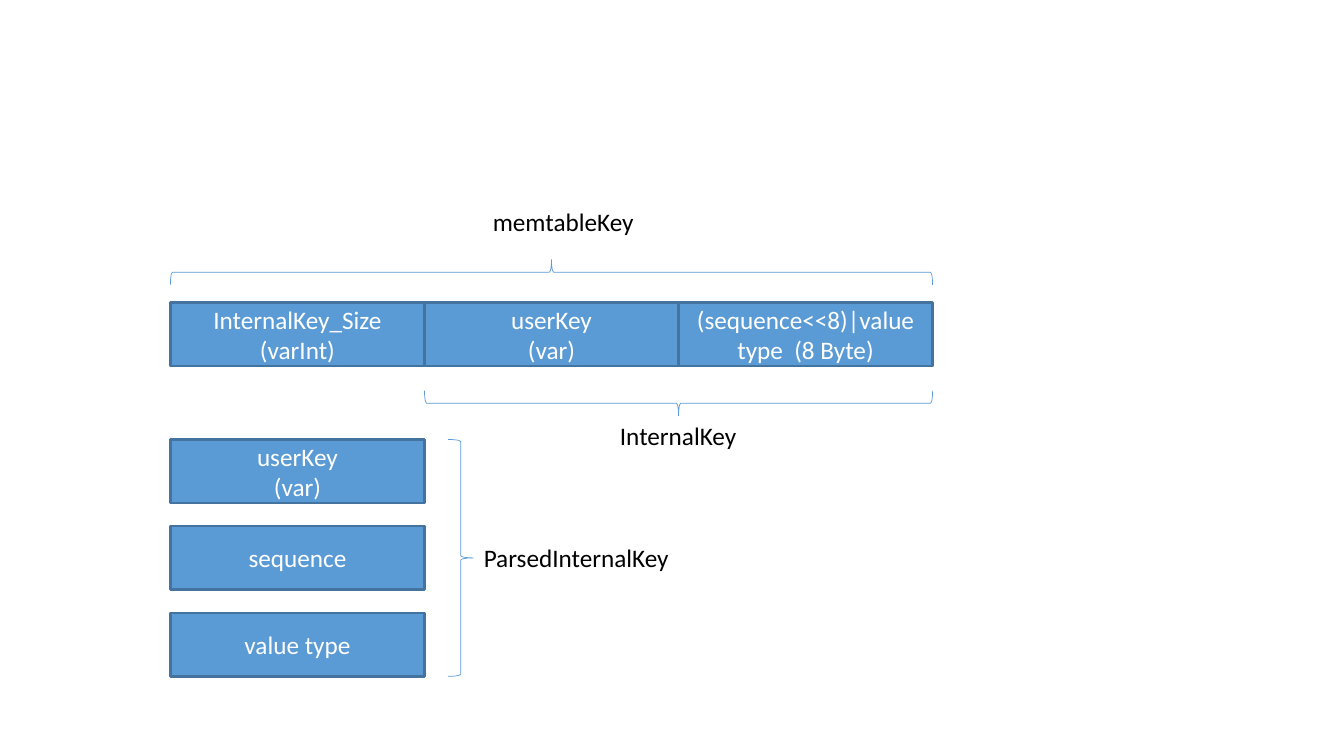
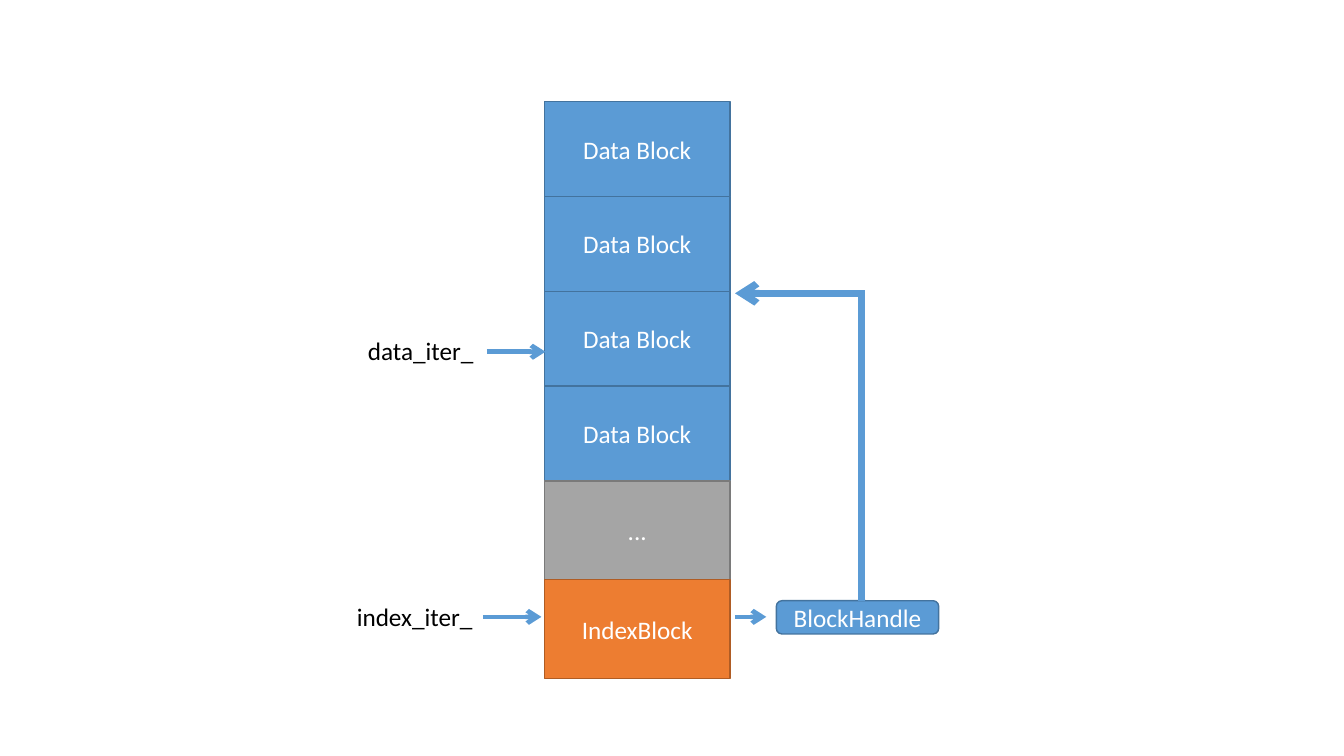
from dataclasses import dataclass

from lxml import etree
from pptx import Presentation, util as u
from pptx.dml.color import RGBColor
from pptx.enum import shapes, text
from pptx.oxml.ns import qn

BLUE = RGBColor(0x5B, 0x9B, 0xD5)
DARK_BLUE = RGBColor(0x43, 0x73, 0x9E)
ORANGE = RGBColor(0xED, 0x7D, 0x31)
DARK_ORANGE = RGBColor(0xAF, 0x5C, 0x24)
GRAY = RGBColor(0xA5, 0xA5, 0xA5)
DARK_GRAY = RGBColor(0x7A, 0x7A, 0x7A)
WHITE = RGBColor(0xFF, 0xFF, 0xFF)
BLACK = RGBColor(0, 0, 0)

SLIDE_WIDTH, SLIDE_HEIGHT = 13.33, 7.5
FONT, FONT_SIZE = "Calibri", 18
BRACE_DEPTH = 0.25
LABEL_HEIGHT = 0.4


@dataclass(frozen=True)
class Grid:
    """Equal cells, measured in inches from the top left one."""
    left: float
    top: float
    width: float
    height: float
    row_gap: float = 0

    def x(self, column: float) -> float:
        return self.left + column * self.width

    def y(self, row: float) -> float:
        return self.top + row * (self.height + self.row_gap)


@dataclass(frozen=True)
class Box:
    lines: tuple[str, ...]
    left: float
    top: float
    width: float
    height: float
    fill: RGBColor = BLUE
    border: RGBColor = DARK_BLUE
    border_width: float = 1
    kind: shapes.MSO_SHAPE = shapes.MSO_SHAPE.RECTANGLE


@dataclass(frozen=True)
class Brace:
    """Curly brace by its centre; at rotation 0 it points right."""
    center_x: float
    center_y: float
    length: float
    rotation: float = 0


@dataclass(frozen=True)
class Label:
    words: str
    left: float
    top: float
    width: float


@dataclass(frozen=True)
class Arrow:
    start: tuple[float, float]
    end: tuple[float, float]
    width: float = 3.25


def write_lines(frame, lines: tuple[str, ...], color: RGBColor, align) -> None:
    for index, line in enumerate(lines):
        paragraph = frame.paragraphs[0] if index == 0 else frame.add_paragraph()
        paragraph.alignment = align
        run = paragraph.add_run()
        run.text = line
        run.font.name = FONT
        run.font.size = u.Pt(FONT_SIZE)
        run.font.color.rgb = color


def draw_box(slide, box: Box) -> None:
    shape = slide.shapes.add_shape(
        box.kind, *map(u.Inches, (box.left, box.top, box.width, box.height)))
    shape.shadow.inherit = False
    shape.fill.solid()
    shape.fill.fore_color.rgb = box.fill
    shape.line.color.rgb = box.border
    shape.line.width = u.Pt(box.border_width)
    shape.text_frame.word_wrap = True
    shape.text_frame.vertical_anchor = text.MSO_ANCHOR.MIDDLE
    write_lines(shape.text_frame, box.lines, WHITE, text.PP_ALIGN.CENTER)


def draw_brace(slide, brace: Brace) -> None:
    shape = slide.shapes.add_shape(
        shapes.MSO_SHAPE.RIGHT_BRACE,
        u.Inches(brace.center_x - BRACE_DEPTH / 2),
        u.Inches(brace.center_y - brace.length / 2),
        u.Inches(BRACE_DEPTH), u.Inches(brace.length))
    shape.rotation = brace.rotation
    shape.shadow.inherit = False
    shape.fill.background()
    shape.line.color.rgb = BLUE
    shape.line.width = u.Pt(0.5)


def draw_label(slide, label: Label) -> None:
    shape = slide.shapes.add_textbox(
        *map(u.Inches, (label.left, label.top, label.width, LABEL_HEIGHT)))
    shape.text_frame.word_wrap = False
    shape.text_frame.auto_size = text.MSO_AUTO_SIZE.SHAPE_TO_FIT_TEXT
    write_lines(shape.text_frame, (label.words,), BLACK, text.PP_ALIGN.LEFT)


def draw_connector(slide, arrow: Arrow, kind, arrowhead: str):
    """Draw a line whose arrowhead is at its "headEnd" or its "tailEnd"."""
    connector = slide.shapes.add_connector(
        kind, *map(u.Inches, arrow.start + arrow.end))
    connector.line.color.rgb = BLUE
    connector.line.width = u.Pt(arrow.width)
    properties = connector.element.spPr
    line = properties.find(qn("a:ln"))
    etree.SubElement(line, qn("a:miter")).set("lim", "800000")
    etree.SubElement(line, qn(f"a:{arrowhead}")).set("type", "arrow")
    etree.SubElement(properties, qn("a:effectLst"))
    return connector


def draw_arrow(slide, arrow: Arrow) -> None:
    draw_connector(slide, arrow, shapes.MSO_CONNECTOR.STRAIGHT, "tailEnd")


def draw_corner_arrow(slide, arrow: Arrow) -> None:
    """Run up from the start, then sideways to the end."""
    back = Arrow(arrow.end, arrow.start, arrow.width)
    connector = draw_connector(
        slide, back, shapes.MSO_CONNECTOR.ELBOW, "headEnd")
    adjustments = connector.element.spPr.find(
        f"{qn('a:prstGeom')}/{qn('a:avLst')}")
    guide = etree.SubElement(adjustments, qn("a:gd"))
    guide.set("name", "adj1")
    guide.set("fmla", "val 100000")


def build_key_slide(slide) -> None:
    key = Grid(left=1.69, top=3, width=2.52, height=0.63)
    parsed = Grid(left=1.69, top=4.36, width=2.52, height=0.63, row_gap=0.23)
    user_key = ("userKey", "(var)")
    fields = (("InternalKey_Size", "(varInt)"), user_key,
              ("(sequence<<8)|value type  (8 Byte)",))
    parts = (user_key, ("sequence",), ("value type",))
    places = [(lines, key.x(column), key.top)
              for column, lines in enumerate(fields)]
    places += [(lines, parsed.left, parsed.y(row))
               for row, lines in enumerate(parts)]
    for lines, left, top in places:
        draw_box(slide, Box(lines, left, top, key.width, key.height,
                            border_width=1.75))

    parsed_height = parsed.y(2) + parsed.height - parsed.top
    for brace in (
        Brace(key.x(1.5), 2.7, 3 * key.width, 270),
        Brace(key.x(2), 4, 2 * key.width, 90),
        Brace(4.57, parsed.top + parsed_height / 2, parsed_height),
    ):
        draw_brace(slide, brace)
    for label in (
        Label("memtableKey", 4.79, 2, 1.6),
        Label("InternalKey", 6.05, 4.12, 1.38),
        Label("ParsedInternalKey", 4.7, 5.33, 2.06),
    ):
        draw_label(slide, label)


def build_iterator_slide(slide) -> None:
    data = Grid(left=5.4, top=1.01, width=1.84, height=0.94)
    tail = Grid(left=data.left, top=data.y(4), width=data.width, height=0.98)
    for row in range(4):
        draw_box(slide, Box(("Data Block",), data.left, data.y(row),
                            data.width, data.height))
    tail_blocks = (("...", GRAY, DARK_GRAY),
                   ("IndexBlock", ORANGE, DARK_ORANGE))
    for row, (words, fill, border) in enumerate(tail_blocks):
        draw_box(slide, Box((words,), tail.left, tail.y(row),
                            tail.width, tail.height, fill, border))

    index_y, data_y = 6.12, 3.49
    handle = Box(("BlockHandle",), 7.7, 5.96, 1.61, 0.33,
                 kind=shapes.MSO_SHAPE.ROUNDED_RECTANGLE)
    draw_box(slide, handle)
    draw_label(slide, Label("index_iter_", 3.44, 5.92, 1.35))
    draw_label(slide, Label("data_iter_", 3.55, 3.28, 1.25))
    for arrow in (
        Arrow((4.79, index_y), (5.37, index_y)),
        Arrow((4.83, data_y), (5.41, data_y)),
        Arrow((7.29, index_y), (7.6, index_y)),
    ):
        draw_arrow(slide, arrow)
    draw_corner_arrow(slide, Arrow((8.54, handle.top), (7.29, 2.91), 5))


def main() -> None:
    presentation = Presentation()
    presentation.slide_width = u.Inches(SLIDE_WIDTH)
    presentation.slide_height = u.Inches(SLIDE_HEIGHT)
    blank = presentation.slide_layouts[6]
    for build in (build_key_slide, build_iterator_slide):
        build(presentation.slides.add_slide(blank))
    presentation.save("out.pptx")


if __name__ == "__main__":
    main()
